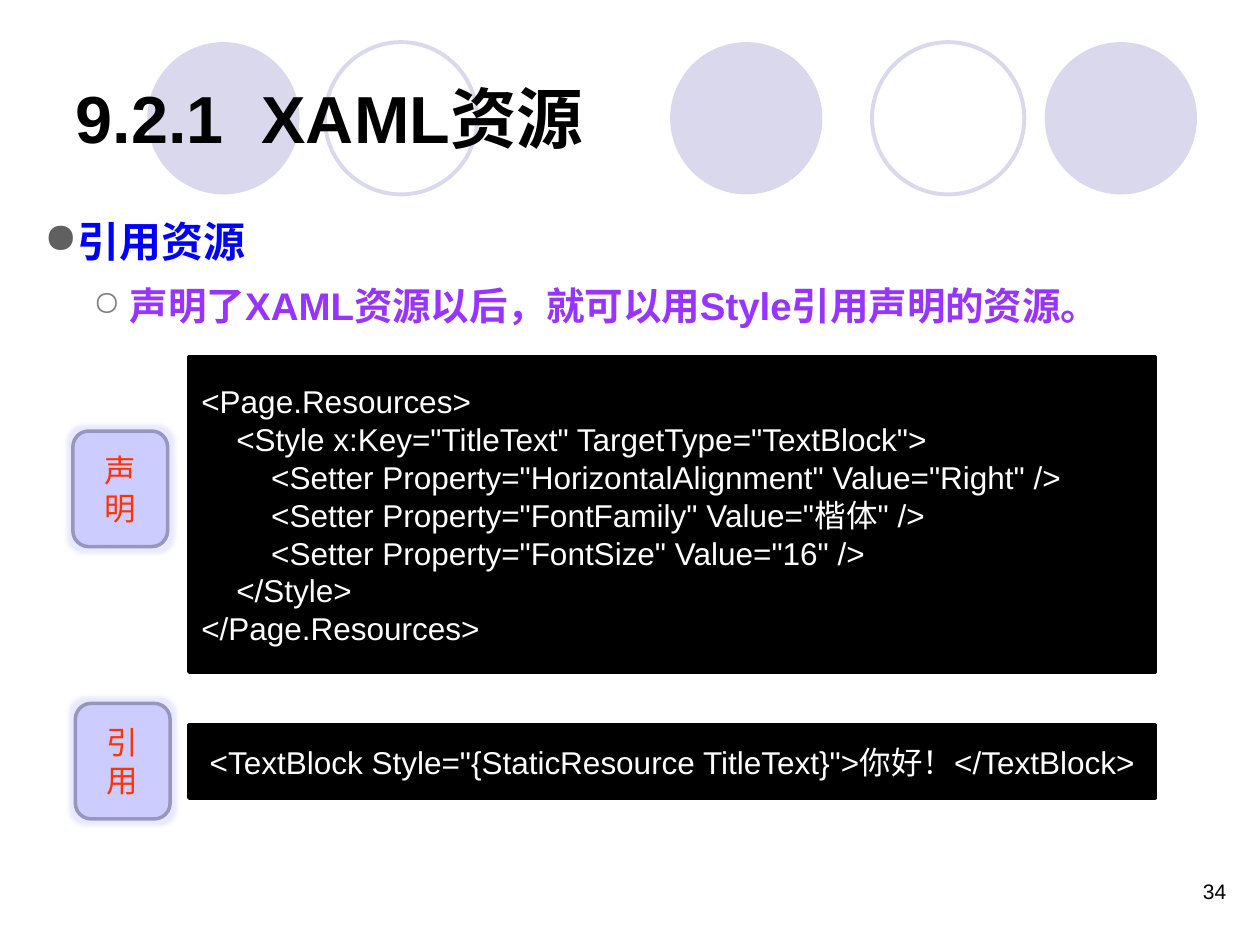
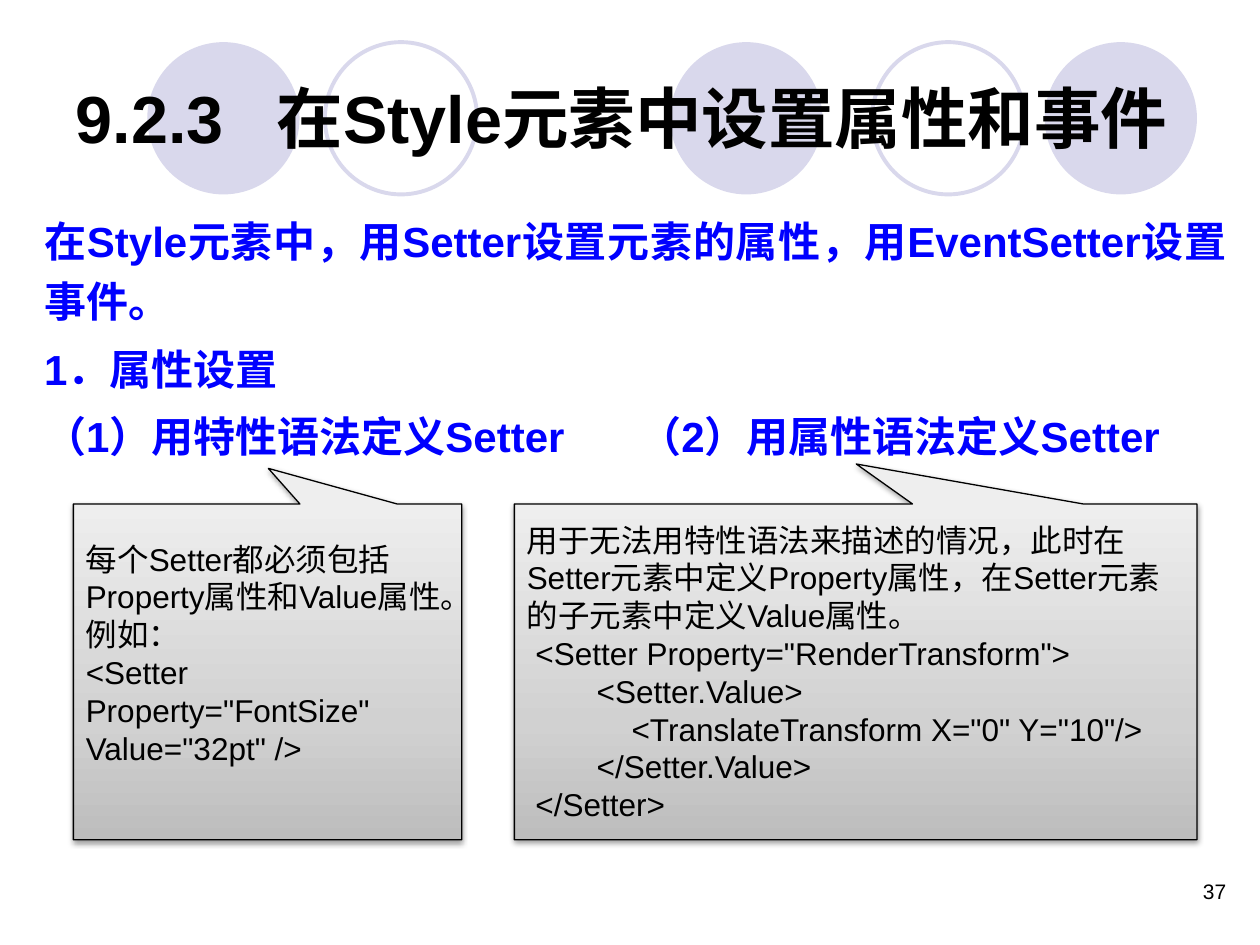
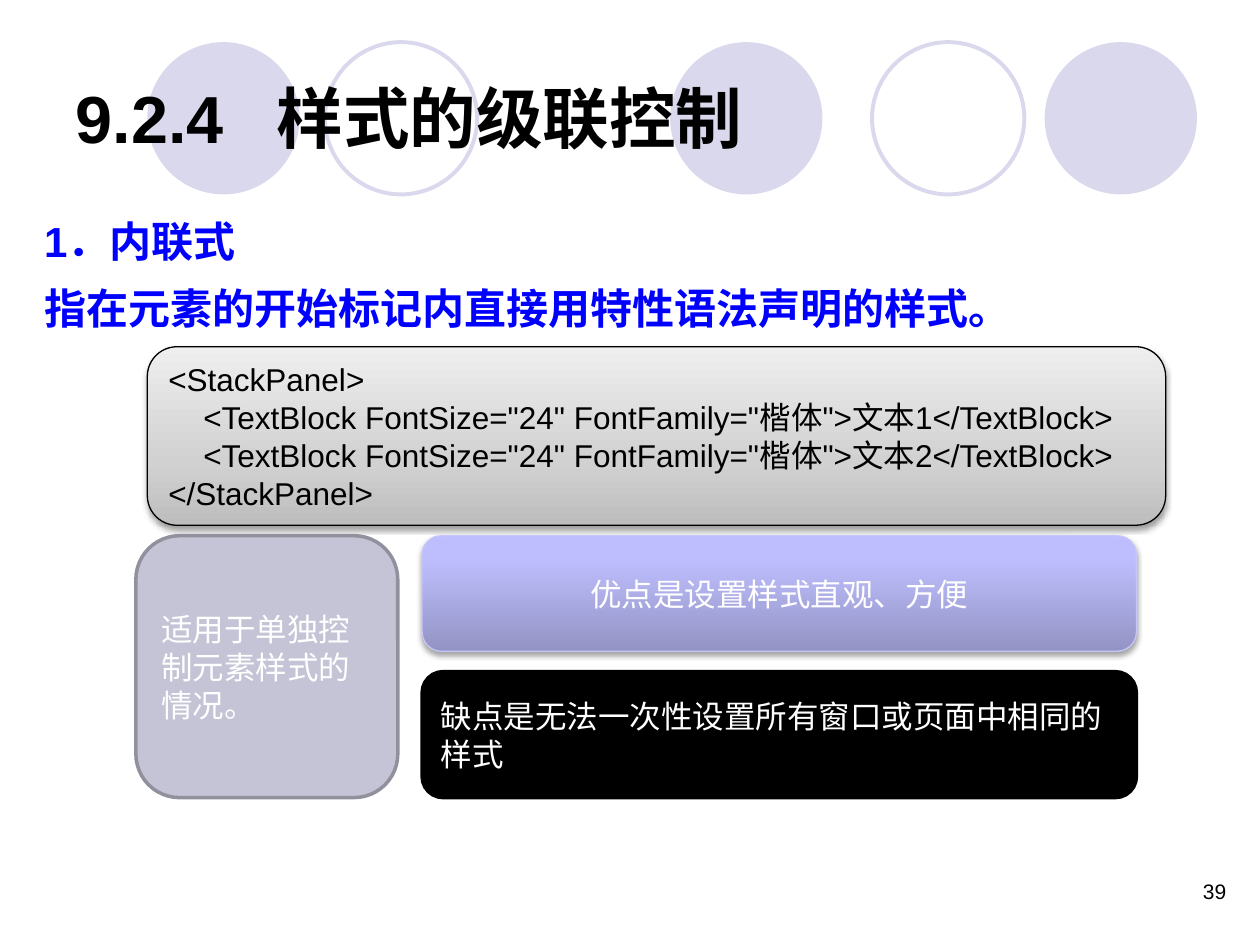
from dataclasses import dataclass

from pptx import Presentation
from pptx.dml.color import RGBColor
from pptx.enum.shapes import MSO_SHAPE as Preset
from pptx.enum.text import MSO_ANCHOR as Anchor, MSO_AUTO_SIZE as AutoSize, PP_ALIGN as Align
from pptx.oxml import parse_xml
from pptx.oxml.ns import nsdecls, qn
from pptx.util import Cm, Pt


@dataclass(frozen=True)
class Look:
    """Fill is one colour or a list of (position, colour) from bottom to top."""
    fill: object
    line: str
    ink: str
    line_width: float = 2
    effect: str = ""


def drop_shadow(alpha, distance):
    return (f'<a:outerShdw {nsdecls("a")} blurRad="40000" dist="{distance}" dir="5400000" '
            f'rotWithShape="0"><a:srgbClr val="000000"><a:alpha val="{alpha}000"/>'
            '</a:srgbClr></a:outerShdw>')


def glow(colour):
    return (f'<a:glow {nsdecls("a")} rad="63500"><a:srgbClr val="{colour}">'
            '<a:alpha val="45000"/></a:srgbClr></a:glow>')


class Theme:
    font = "Arial"
    ink, blue, violet, circle = "000000", "0000FF", "9933FF", "D9D8EC"
    title_size, body_size, detail_size, shape_size, number_size = 38, 24, 22, 18, 12
    circle_line = 2.25
    black = Look("000000", "000000", "FFFFFF")
    label = Look("CCCCFF", "9797BD", "FF3300", effect=glow("CCCCFF"))
    grey = Look([(0, "BDBDBD"), (35, "D1D1D1"), (100, "EEEEEE")], "000000", "000000",
                0.75, drop_shadow(38, 20000))
    lilac = Look([(0, "9393C4"), (80, "BEBEFE"), (100, "C0C0FF")], "C6C6FB", "FFFFFF",
                 0.75, drop_shadow(35, 23000))
    muted = Look("C4C4D6", "91919E", "FFFFFF")


@dataclass(frozen=True)
class Box:
    """A region in centimetres."""
    left: float
    top: float
    width: float
    height: float

    def place(self, dx, dy, width, height):
        return Box(self.left + dx, self.top + dy, width, height)

    def lengths(self):
        return [Cm(value) for value in (self.left, self.top, self.width, self.height)]


@dataclass(frozen=True)
class Line:
    """A body line, with an optional bullet as (symbol, colour, percent) or tab stop."""
    text: str
    size: int = Theme.body_size
    colour: str = Theme.blue
    align: object = Align.LEFT
    indent: tuple = (0, 0)
    bullet: tuple = ()
    tab: float = 0


TITLE_BOX = Box(1.27, 0.76, 22.86, 3.18)
BODY_BOX = Box(0.64, 4.01, 24.33, 13.54)
NUMBER_BOX = Box(19.05, 17.58, 5.92, 1.27)
CIRCLE_BAND = Box(2.97, 0.85, 21.16, 3.07)


def set_all(target, values):
    for name, value in values.items():
        setattr(target, name, value)


def rgb(colour):
    return RGBColor.from_string(colour)


def write(para, text, size, colour, bold=False):
    span = para.add_run()
    span.text = text
    set_all(span.font, {"name": Theme.font, "size": Pt(size), "bold": bold})
    span.font.color.rgb = rgb(colour)


def paragraphs(frame, count):
    return [frame.paragraphs[0]] + [frame.add_paragraph() for _ in range(count - 1)]


def add_tab(para, position):
    para._p.get_or_add_pPr().append(parse_xml(
        f'<a:tabLst {nsdecls("a")}><a:tab pos="{Cm(position)}" algn="l"/></a:tabLst>'))


def add_bullet(para, symbol, colour, percent):
    for inner in (f'<a:buClr {nsdecls("a")}><a:srgbClr val="{colour}"/></a:buClr>',
                  f'<a:buSzPct {nsdecls("a")} val="{percent}000"/>',
                  f'<a:buChar {nsdecls("a")} char="{symbol}"/>'):
        para._p.get_or_add_pPr().append(parse_xml(inner))


def set_fill(shape, fill):
    if isinstance(fill, str):
        shape.fill.solid()
        shape.fill.fore_color.rgb = rgb(fill)
        return
    stops = "".join(f'<a:gs pos="{position}000"><a:srgbClr val="{colour}"/></a:gs>'
                    for position, colour in fill)
    shape.element.spPr.find(qn("a:prstGeom")).addnext(parse_xml(
        f'<a:gradFill {nsdecls("a")} rotWithShape="1"><a:gsLst>{stops}</a:gsLst>'
        '<a:lin ang="16200000" scaled="0"/></a:gradFill>'))


def add_panel(page, box, look, lines, preset=Preset.ROUNDED_RECTANGLE, align=Align.LEFT):
    shape = page.shapes.add_shape(preset, *box.lengths())
    shape.shadow.inherit = False
    set_fill(shape, look.fill)
    shape.line.color.rgb = rgb(look.line)
    shape.line.width = Pt(look.line_width)
    if look.effect:
        shape.element.spPr.find(qn("a:effectLst")).append(parse_xml(look.effect))
    frame = shape.text_frame
    set_all(frame, {"word_wrap": True, "vertical_anchor": Anchor.MIDDLE})
    for para, text in zip(paragraphs(frame, len(lines)), lines):
        para.alignment = align
        write(para, text, Theme.shape_size, look.ink)
    return shape


def add_circles(page, layout, band):
    """Draw the circle band and hand it to the layout, behind its placeholders."""
    for dx, filled in ((0, True), (3.58, False), (10.54, True), (14.61, False), (18.09, True)):
        circle = page.shapes.add_shape(
            Preset.OVAL, *band.place(dx, 0, band.height, band.height).lengths())
        circle.shadow.inherit = False
        if filled:
            set_fill(circle, Theme.circle)
            circle.line.fill.background()
        else:
            circle.fill.background()
            circle.line.color.rgb = rgb(Theme.circle)
            circle.line.width = Pt(Theme.circle_line)
        layout.shapes.element.insert(2, circle.element)


def add_title(page, box, number, text, tab):
    title = page.shapes.title
    set_all(title, dict(zip(("left", "top", "width", "height"), box.lengths())))
    frame = title.text_frame
    set_all(frame, {"word_wrap": True, "auto_size": AutoSize.NONE,
                    "vertical_anchor": Anchor.MIDDLE})
    para = frame.paragraphs[0]
    para.alignment = Align.LEFT
    add_tab(para, tab)
    write(para, f"{number}\t{text}", Theme.title_size, Theme.ink, bold=True)


def add_body(page, box, lines):
    frame = page.shapes.add_textbox(*box.lengths()).text_frame
    frame.word_wrap = True
    for index, (para, line) in enumerate(zip(paragraphs(frame, len(lines)), lines)):
        set_all(para, {"alignment": line.align, "line_spacing": 1.2, "space_after": Pt(2)})
        if index:
            para.space_before = Pt(2)
        if line.bullet:
            margin, first = line.indent
            para._p.get_or_add_pPr().set("marL", str(Cm(margin)))
            para._p.get_or_add_pPr().set("indent", str(Cm(first)))
            add_bullet(para, *line.bullet)
        if line.tab:
            add_tab(para, line.tab)
        write(para, line.text, line.size, line.colour, bold=True)


def add_page_number(page, box, number):
    para = page.shapes.add_textbox(*box.lengths()).text_frame.paragraphs[0]
    para.alignment = Align.RIGHT
    write(para, str(number), Theme.number_size, Theme.ink)


def add_page(deck, layout, section, title, number, body, tab=4.05):
    page = deck.slides.add_slide(layout)
    add_title(page, TITLE_BOX, section, title, tab)
    add_body(page, BODY_BOX, body)
    add_page_number(page, NUMBER_BOX, number)
    return page


def labelled_code(page, box, label, label_at, code, align=Align.LEFT):
    add_panel(page, box.place(2.34, 0, box.width - 2.34, box.height), Theme.black, code,
              Preset.RECTANGLE, align)
    add_panel(page, box.place(*label_at, 1.91, 2.33), Theme.label, [label], align=Align.CENTER)


def callout(page, box, tip, lines, bottom=0.13):
    shape = add_panel(page, box, Theme.grey, lines, Preset.RECTANGULAR_CALLOUT)
    for index, value in enumerate(tip):
        shape.adjustments[index] = value
    shape.text_frame.margin_bottom = Cm(bottom)


def inline_style(page, box):
    add_panel(page, box.place(0.23, 0, 20.53, 3.6), Theme.grey, [
        '<StackPanel>',
        '    <TextBlock FontSize="24" FontFamily="楷体">文本1</TextBlock>',
        '    <TextBlock FontSize="24" FontFamily="楷体">文本2</TextBlock>',
        '</StackPanel>'])
    add_panel(page, box.place(0, 3.81, 5.28, 5.28), Theme.muted,
              ["适用于单独控制元素样式的情况。"])
    add_panel(page, box.place(5.77, 3.81, 14.4, 2.33), Theme.lilac,
              ["优点是设置样式直观、方便"], align=Align.CENTER)
    add_panel(page, box.place(5.77, 6.55, 14.4, 2.54), Theme.black,
              ["缺点是无法一次性设置所有窗口或页面中相同的样式"])


def resource_page(deck, layout):
    page = add_page(deck, layout, "9.2.1", "XAML资源", 34, [
        Line("引用资源", indent=(0.48, -0.48), bullet=("●", "606060", 100)),
        Line("声明了XAML资源以后，就可以用Style引用声明的资源。", Theme.detail_size,
             Theme.violet, indent=(1.73, -0.74), bullet=("○", "808080", 90)),
    ], tab=3.75)
    labelled_code(page, Box(1.47, 7.2, 21.82, 6.35), "声明", (0, 1.49), [
        '<Page.Resources>',
        '    <Style x:Key="TitleText" TargetType="TextBlock">',
        '        <Setter Property="HorizontalAlignment" Value="Right" />',
        '        <Setter Property="FontFamily" Value="楷体" />',
        '        <Setter Property="FontSize" Value="16" />',
        '    </Style>',
        '</Page.Resources>'])
    labelled_code(page, Box(1.47, 14.61, 21.82, 1.48), "引用", (0.05, -0.43), [
        '<TextBlock Style="{StaticResource TitleText}">你好！</TextBlock>'], Align.CENTER)
    return page


def setter_page(deck, layout):
    page = add_page(deck, layout, "9.2.3", "在Style元素中设置属性和事件", 37, [
        Line("在Style元素中，用Setter设置元素的属性，用EventSetter设置事件。",
             align=Align.JUSTIFY),
        Line("1．属性设置", align=Align.JUSTIFY),
        Line("（1）用特性语法定义Setter\t（2）用属性语法定义Setter",
             align=Align.JUSTIFY, tab=12),
    ])
    callout(page, Box(1.48, 10.16, 7.83, 6.77), (0.002, -0.606), [
        "每个Setter都必须包括Property属性和Value属性。",
        "例如：",
        '<Setter Property="FontSize" Value="32pt" />'], bottom=0.89)
    callout(page, Box(10.37, 10.16, 13.76, 6.77), (0.001, -0.619), [
        "用于无法用特性语法来描述的情况，此时在Setter元素中定义Property属性，"
        "在Setter元素的子元素中定义Value属性。",
        ' <Setter Property="RenderTransform">',
        '        <Setter.Value>',
        '            <TranslateTransform X="0" Y="10"/>',
        '        </Setter.Value>',
        ' </Setter>'])


def cascade_page(deck, layout):
    page = add_page(deck, layout, "9.2.4", "样式的级联控制", 39, [
        Line("1．内联式"),
        Line("指在元素的开始标记内直接用特性语法声明的样式。"),
    ])
    inline_style(page, Box(2.74, 6.99, 20.76, 9.09))


def main():
    deck = Presentation()
    set_all(deck, {"slide_width": Cm(25.4), "slide_height": Cm(19.05)})
    layout = deck.slide_layouts.get_by_name("Title Only")
    first_page = resource_page(deck, layout)
    add_circles(first_page, layout, CIRCLE_BAND)
    setter_page(deck, layout)
    cascade_page(deck, layout)
    deck.save("out.pptx")


if __name__ == "__main__":
    main()
